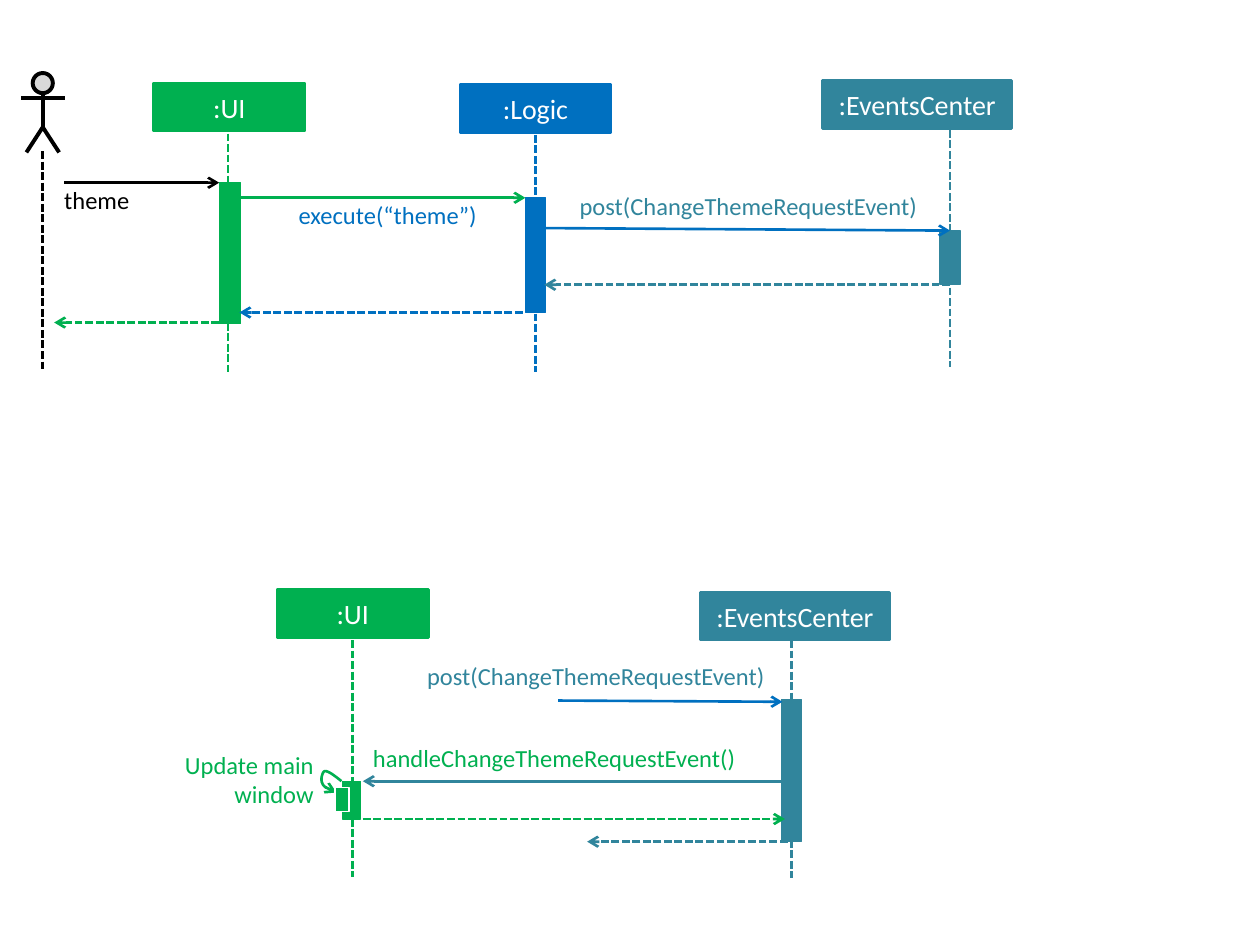
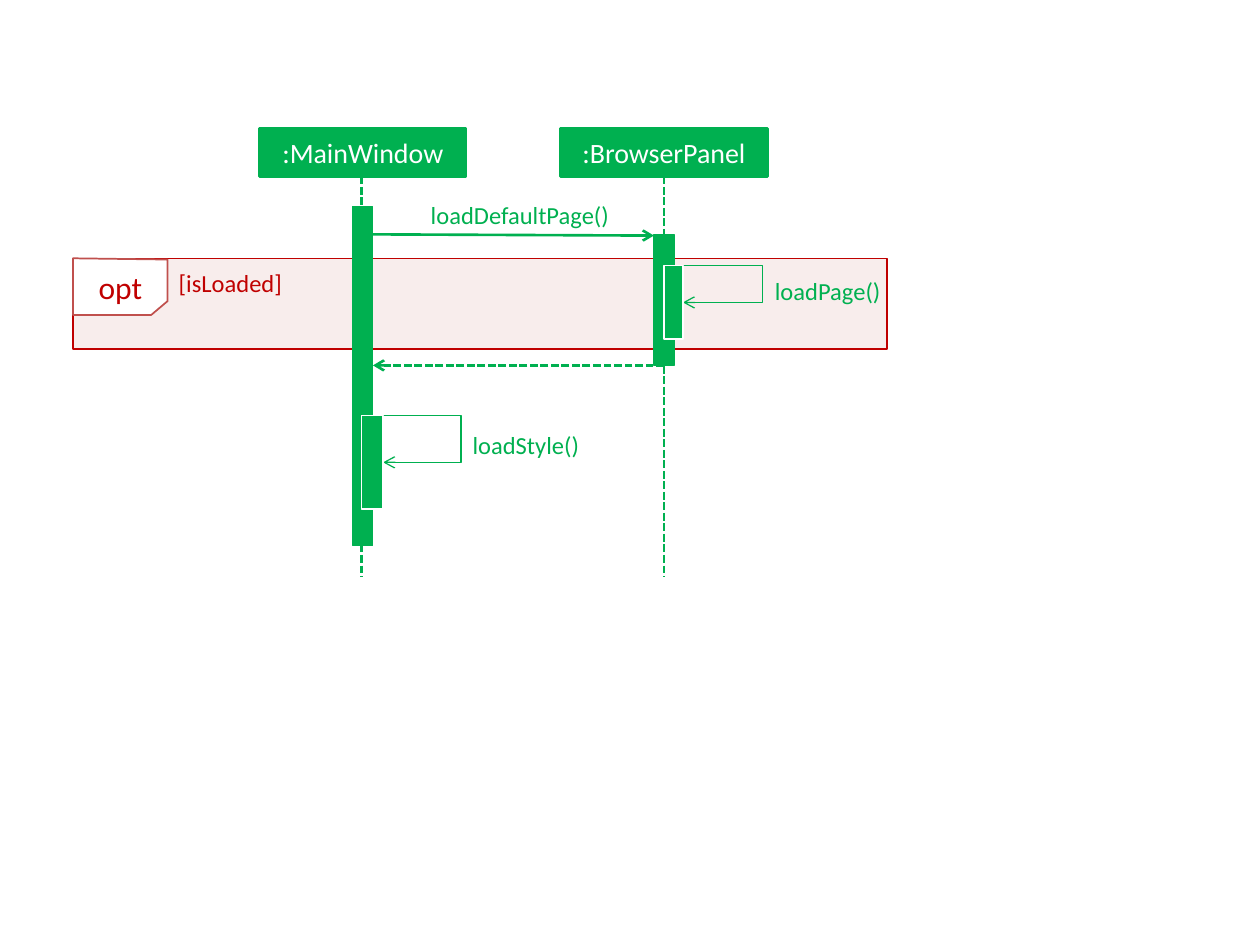
from dataclasses import dataclass

from lxml import etree
from pptx import Presentation
from pptx import util as u
from pptx.dml import color as col
from pptx.enum import dml, shapes, text
from pptx.oxml import ns


@dataclass(frozen=True)
class Theme:
    """Colours, type sizes and line widths of both slides."""
    font: str = "Calibri"
    green: str = "00B050"
    blue: str = "0070C0"
    teal: str = "31859C"
    red: str = "C00000"
    brick: str = "C0504D"
    pink: str = "F2DCDB"
    black: str = "000000"
    white: str = "FFFFFF"
    grey: str = "D9D9D9"
    head: int = 16
    label: int = 14
    tab: int = 18
    thin: float = 0.75
    edge: float = 1
    line: float = 1.5
    bold: float = 2.25


T = Theme()
G, B, E, K = T.green, T.blue, T.teal, T.black

# Lifelines: name, colour, head (left, top, width), stem (x, top, end), bar box
# Messages: start, end, colour, dashed
# Labels: words, colour, box, alignment, padded
# Calls: a participant's call to itself as bar box, rise of the loop, its drop
LEFT, RIGHT = text.PP_ALIGN.LEFT, text.PP_ALIGN.RIGHT
POST = "post(ChangeThemeRequestEvent)"
EVENTS = {
    "lives": [
        (":UI", G, (1.22, 0.66, 1.2), (1.81, 1.06, 2.95), (1.74, 1.45, 0.17, 1.12)),
        (":Logic", B, (3.65, 0.67, 1.2), (4.25, 1.07, 2.95), (4.17, 1.57, 0.16, 0.91)),
        (":EventsCenter", E, (6.53, 0.64, 1.5), (7.54, 1.03, 2.91), (7.46, 1.83, 0.16, 0.43)),
        (":EventsCenter", E, (5.56, 4.7, 1.5), (6.28, 5.08, 6.97), (6.2, 5.55, 0.16, 1.13)),
        (":UI", G, (2.2, 4.68, 1.2), (2.8, 5.08, 6.96), (2.72, 6.2, 0.14, 0.3)),
    ],
    "sends": [
        ((0.51, 1.45), (1.74, 1.45), K, False),
        ((1.9, 1.57), (4.17, 1.57), G, False),
        ((4.3, 1.81), (7.54, 1.83), B, False),
        ((7.54, 2.26), (4.32, 2.26), E, True),
        ((4.15, 2.48), (1.9, 2.48), B, True),
        ((1.74, 2.56), (0.43, 2.56), G, True),
        ((4.43, 5.56), (6.21, 5.57), B, False),
        ((6.23, 6.2), (2.88, 6.2), E, False),
        ((2.88, 6.5), (6.23, 6.5), G, True),
        ((6.25, 6.68), (4.66, 6.68), E, True),
    ],
    "labels": [
        ("theme", K, (0.51, 1.47, 0.94, 0.24), LEFT, False),
        ("execute(“theme”)", B, (2.37, 1.59, 1.56, 0.24), LEFT, False),
        (POST, E, (4.6, 1.52, 2.75, 0.24), LEFT, False),
        (POST, E, (3.39, 5.25, 2.97, 0.24), LEFT, False),
        ("handleChangeThemeRequestEvent()", G, (2.96, 5.9, 2.91, 0.24), LEFT, False),
        ("Update main window", G, (1.41, 5.95, 1.08, 0.47), RIGHT, False),
    ],
    "calls": [],
}
PAGES = {
    "lives": [
        (":MainWindow", G, (2.06, 1.02, 1.64), (2.87, 1.4, 4.58), (2.8, 1.64, 0.16, 2.69)),
        (":BrowserPanel", G, (4.45, 1.02, 1.64), (5.27, 1.4, 4.58), (5.19, 1.86, 0.16, 1.04)),
    ],
    "sends": [
        ((2.93, 1.86), (5.19, 1.87), G, False),
        ((5.27, 2.9), (2.96, 2.9), G, True),
    ],
    "labels": [
        ("loadDefaultPage()", G, (3.32, 1.54, 1.92, 0.34), LEFT, True),
        ("[isLoaded]", T.red, (1.32, 2.08, 1.07, 0.34), LEFT, True),
        ("loadStyle()", G, (3.75, 3.41, 1.08, 0.15), LEFT, False),
        ("loadPage()", G, (6.15, 2.19, 1, 0.14), LEFT, False),
    ],
    "calls": [
        ((2.87, 3.3, 0.17, 0.74), 2.96, 0.37),
        ((5.27, 2.11, 0.15, 0.58), 5.35, 0.29),
    ],
}
HEAD_H, REACH = 0.38, 0.7
ACTOR = (0.34, 0.58)
FRAME = (0.58, 2.05, 6.46, 0.72)
TAB = [(0.58, 2.05), (1.33, 2.06), (1.33, 2.39), (1.2, 2.5), (0.58, 2.5)]
NEST = (2.66, 6.25, 0.11, 0.19)
HOOK = [(2.71, 6.2), (2.66, 6.16), (2.61, 6.12), (2.58, 6.12), (2.56, 6.12),
        (2.54, 6.19), (2.56, 6.22), (2.57, 6.25), (2.62, 6.27), (2.67, 6.29)]


def inch(vals):
    """Turn numbers into lengths."""
    return [u.Inches(v) for v in vals]


def rgb(code):
    """Turn a hex code into a colour."""
    return col.RGBColor.from_string(code)


def sub(node, tag, **attrs):
    """Append one drawing element."""
    return etree.SubElement(node, ns.qn("a:" + tag), attrs)


def ink(line, tint, width, dash=False, arrow=False):
    """Style a line: colour, width, dashes, arrow at its end."""
    line.color.rgb = rgb(tint)
    line.width = u.Pt(width)
    if dash:
        line.dash_style = dml.MSO_LINE.SQUARE_DOT
    if arrow:
        sub(line._get_or_add_ln(), "tailEnd", type="arrow")


def paint(shape, fill, edge, width):
    """Give a shape its fill and outline, without shadow."""
    shape.shadow.inherit = False
    if fill:
        shape.fill.solid()
        shape.fill.fore_color.rgb = rgb(fill)
    else:
        shape.fill.background()
    ink(shape.line, edge, width)
    return shape


def write(shape, words, tint, size, align):
    """Set one run of text in a shape."""
    para = shape.text_frame.paragraphs[0]
    para.alignment = align
    run = para.add_run()
    run.text = words
    run.font.name = T.font
    run.font.size = u.Pt(size)
    run.font.color.rgb = rgb(tint)


def title(shape, words, tint, size):
    """Centre words inside a shape."""
    shape.text_frame.vertical_anchor = text.MSO_ANCHOR.MIDDLE
    write(shape, words, tint, size, text.PP_ALIGN.CENTER)


def block(page, at, fill, edge, width, kind=shapes.MSO_SHAPE.RECTANGLE):
    """Add a preset shape."""
    return paint(page.add_shape(kind, *inch(at)), fill, edge, width)


def rule(page, start, end, tint, width=T.line, dash=False, arrow=False,
         kind=shapes.MSO_CONNECTOR.STRAIGHT):
    """Add a connector."""
    wire = page.add_connector(kind, *inch(start + end))
    ink(wire.line, tint, width, dash, arrow)
    sub(wire._element.spPr, "effectLst")
    return wire


def trace(page, pts, fill, edge, width, close=False):
    """Add an outline through points."""
    pts = [inch(p) for p in pts]
    pen = page.build_freeform(*pts[0], scale=1.0)
    pen.add_line_segments(pts[1:], close=close)
    return paint(pen.convert_to_shape(), fill, edge, width)


def curve(pts, steps=8):
    """Sample a chain of cubic curves."""
    out = [pts[0]]
    for i in range(0, len(pts) - 1, 3):
        for n in range(1, steps + 1):
            t = n / steps
            mix = ((1 - t) ** 3, 3 * t * (1 - t) ** 2, 3 * t * t * (1 - t), t ** 3)
            out.append(tuple(sum(m * p[k] for m, p in zip(mix, pts[i:i + 4]))
                             for k in (0, 1)))
    return out


def life(page, name, tint, head, stem, bar):
    """Draw a participant: head, dashed stem and bar."""
    box = block(page, (*head, HEAD_H), tint, tint, T.line)
    title(box, name, T.white, T.head)
    x, top, end = stem
    rule(page, (x, top), (x, end), tint, dash=True)
    block(page, bar, tint, tint, T.thin)


def label(page, words, tint, at, align, padded):
    """Add a caption."""
    box = page.add_textbox(*inch(at))
    frame = box.text_frame
    frame.word_wrap = True
    frame.auto_size = text.MSO_AUTO_SIZE.SHAPE_TO_FIT_TEXT
    if not padded:
        frame.margin_left = frame.margin_right = 0
        frame.margin_top = frame.margin_bottom = 0
    write(box, words, tint, T.label, align)


def call(page, bar, x, drop):
    """Draw a call to self: elbow loop and inner bar."""
    left, top, wide, _ = bar
    run = left + wide - x
    # The elbow is laid flat, then turned a quarter about its centre.
    mid, level = x + run / 2, top + drop / 2
    start = (mid - drop / 2, level - run / 2)
    end = (mid + drop / 2, level + run / 2)
    wire = rule(page, start, end, G, T.thin, arrow=True,
                kind=shapes.MSO_CONNECTOR.ELBOW)
    props = wire._element.spPr
    turn = props.find(ns.qn("a:xfrm"))
    turn.set("rot", "16200000")
    turn.set("flipH", "1")
    geom = props.find(ns.qn("a:prstGeom"))
    geom.set("prst", "bentConnector4")
    for old in list(geom):
        geom.remove(old)
    bends = sub(geom, "avLst")
    for name, val in (("adj1", 0), ("adj2", round(REACH / run * 100000))):
        sub(bends, "gd", name=name, fmla=f"val {val}")
    block(page, bar, G, T.white, T.thin)


def actor(page):
    """Draw the user as a stick figure with a lifeline."""
    x, y = ACTOR
    block(page, (x - 0.08, y, 0.16, 0.16), T.grey, K, T.bold,
          shapes.MSO_SHAPE.FLOWCHART_CONNECTOR)
    rule(page, (x, y + 0.16), (x, y + 0.44), K, T.bold)
    trace(page, [(x - 0.13, y + 0.63), (x, y + 0.43), (x + 0.13, y + 0.63)],
          None, K, T.bold)
    rule(page, (x - 0.17, y + 0.2), (x + 0.18, y + 0.2), K, T.bold)
    rule(page, (x, y + 0.62), (x, 2.95), K, dash=True)


def update(page):
    """Draw the window's update of itself: hook and nested bar."""
    hook = trace(page, curve(HOOK), None, G, T.line)
    ink(hook.line, G, T.line, arrow=True)
    block(page, NEST, G, T.white, T.thin)


def option(page):
    """Draw the tinted frame of the optional part."""
    frame = block(page, FRAME, T.pink, T.red, T.thin)
    tone = frame._element.spPr.find(ns.qn("a:solidFill"))[0]
    sub(tone, "alpha", val="50000")


def corner(page):
    """Draw the frame's name tab."""
    title(trace(page, TAB, T.white, T.brick, T.edge, close=True),
          "opt", T.red, T.tab)


def draw(deck, data, under, over):
    """Build one slide from its data, with extras below and above."""
    page = deck.slides.add_slide(deck.slide_layouts[6]).shapes
    under(page)
    for item in data["lives"]:
        life(page, *item)
    for item in data["calls"]:
        call(page, *item)
    for start, end, tint, dash in data["sends"]:
        rule(page, start, end, tint, dash=dash, arrow=True)
    over(page)
    for item in data["labels"]:
        label(page, *item)


deck = Presentation()
deck.slide_width, deck.slide_height = inch((10, 7.5))
draw(deck, EVENTS, actor, update)
draw(deck, PAGES, option, corner)
deck.save("out.pptx")
